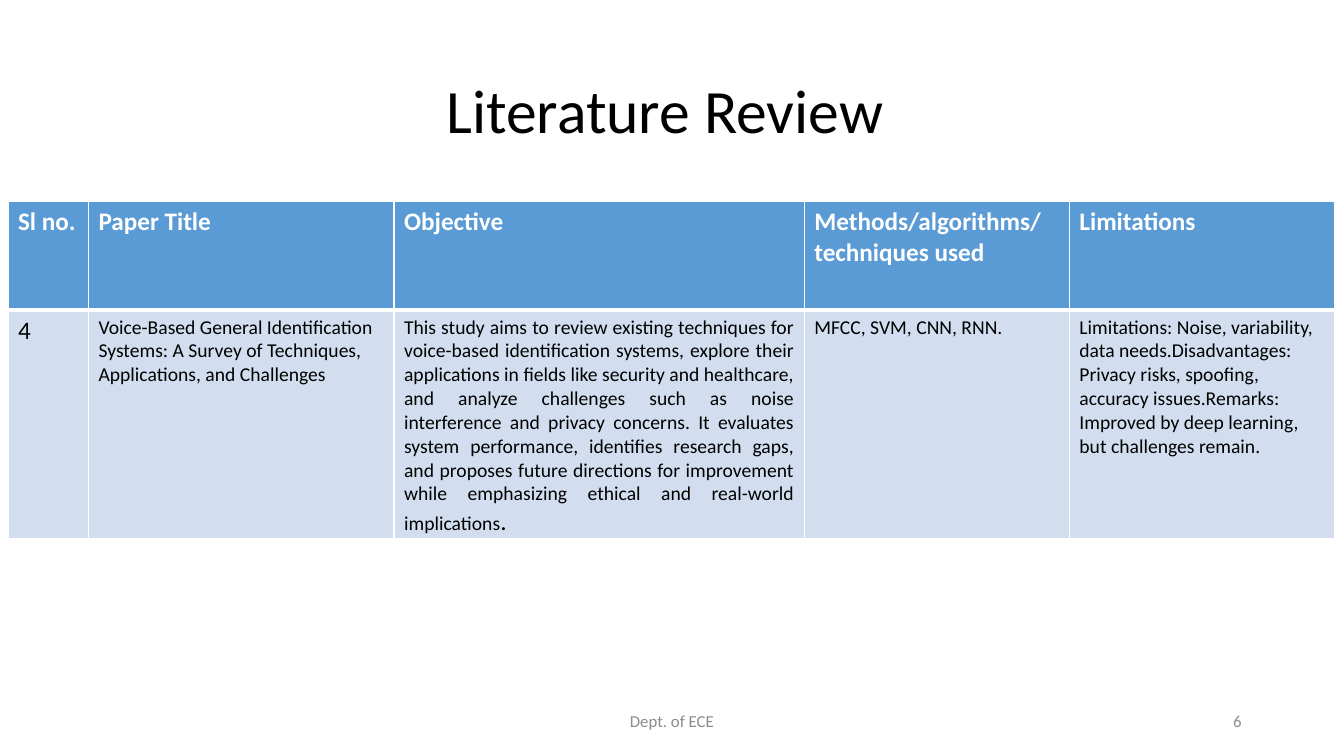
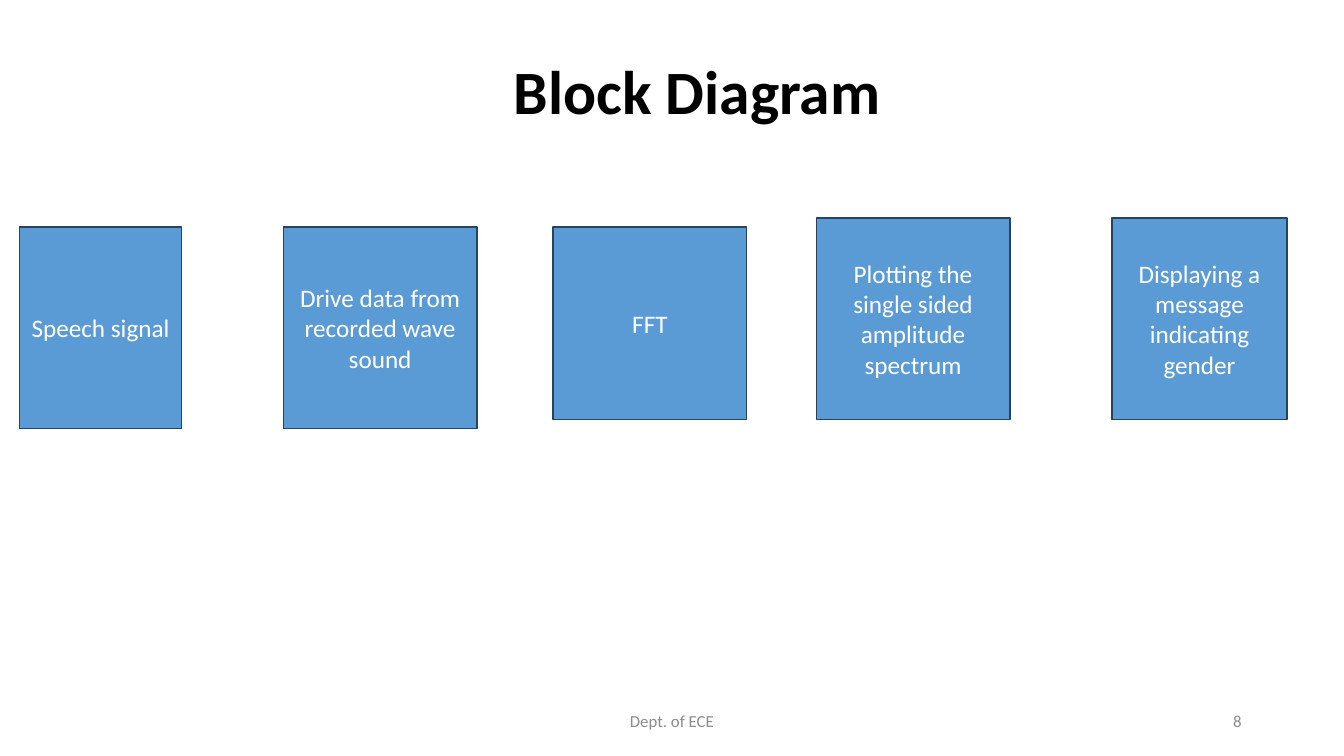
from dataclasses import dataclass

from lxml.etree import SubElement
from pptx import Presentation
from pptx.dml.color import RGBColor
from pptx.enum.shapes import MSO_SHAPE
from pptx.enum.text import MSO_ANCHOR, MSO_AUTO_SIZE, PP_ALIGN
from pptx.oxml.ns import qn
from pptx.util import Cm, Pt


@dataclass(frozen=True)
class Theme:
    font: str = "Calibri"
    black: str = "000000"
    white: str = "FFFFFF"
    gray: str = "8C8C8C"
    blue: str = "5B9BD5"
    pale: str = "D2DEEF"
    edge: str = "28445D"
    title: int = 44
    body: int = 18
    small: int = 14
    foot: int = 12


T = Theme()
TITLE_ONLY = 5
COLS = (2.03, 7.7, 10.34, 6.68, 6.68)
ROWS = (2.74, 5.49)
HEADS = ("Sl no.", "Paper Title", "Objective",
         "Methods/algorithms/techniques used", "Limitations")
PAPER = (
    "4",
    "Voice-Based General Identification Systems: A Survey of Techniques, "
    "Applications, and Challenges",
    "This study aims to review existing techniques for voice-based "
    "identification systems, explore their applications in fields like "
    "security and healthcare, and analyze challenges such as noise "
    "interference and privacy concerns. It evaluates system performance, "
    "identifies research gaps, and proposes future directions for "
    "improvement while emphasizing ethical and real-world implications",
    "MFCC, SVM, CNN, RNN.",
    "Limitations: Noise, variability, data needs.Disadvantages: Privacy "
    "risks, spoofing, accuracy issues.Remarks: Improved by deep learning, "
    "but challenges remain.",
)
# left, top, width, height in cm
BLOCKS = (
    ("Speech signal", 0.5, 5.72, 4.07, 5.08),
    ("Drive data from recorded wave sound", 7.14, 5.72, 4.88, 5.08),
    ("FFT", 13.94, 5.72, 4.88, 4.85),
    ("Plotting the single sided amplitude spectrum", 20.57, 5.49, 4.88, 5.08),
    ("Displaying a message indicating gender", 28.02, 5.49, 4.42, 5.08),
)


def color(code):
    return RGBColor.from_string(code)


def box(left, top, width, height):
    return Cm(left), Cm(top), Cm(width), Cm(height)


def write(frame, text, size=T.body, ink=T.black, bold=False,
          align=PP_ALIGN.LEFT, anchor=None, space=None):
    """Add a run to the frame's first paragraph and format both."""
    frame.word_wrap = True
    if anchor is not None:
        frame.vertical_anchor = anchor
    para = frame.paragraphs[0]
    para.alignment = align
    para.line_spacing = space
    run = para.add_run()
    run.text = text
    font = run.font
    font.name, font.size, font.bold = T.font, Pt(size), bold
    font.color.rgb = color(ink)


def add_slide(deck, title, left, top, number, bold=False):
    slide = deck.slides.add_slide(deck.slide_layouts[TITLE_ONLY])
    head = slide.shapes.title
    head.left, head.top, head.width, head.height = box(left, top, 29.21, 3.68)
    head.text_frame.auto_size = MSO_AUTO_SIZE.NONE
    write(head.text_frame, title, size=T.title, bold=bold, space=0.9,
          align=PP_ALIGN.CENTER, anchor=MSO_ANCHOR.MIDDLE)
    add_note(slide, "Dept. of ECE", 11.22, 11.43, PP_ALIGN.CENTER)
    add_note(slide, number, 23.92, 7.62, PP_ALIGN.RIGHT)
    return slide


def add_note(slide, text, left, width, align):
    """Add one part of the footer."""
    note = slide.shapes.add_textbox(*box(left, 17.65, width, 1.02))
    write(note.text_frame, text, size=T.foot, ink=T.gray, align=align,
          anchor=MSO_ANCHOR.MIDDLE)


def set_edges(cell, top, bottom):
    props = cell._tc.get_or_add_tcPr()
    for side, width in (("L", 1), ("R", 1), ("T", top), ("B", bottom)):
        line = SubElement(props, qn(f"a:ln{side}"), w=str(Pt(width)))
        fill = SubElement(line, qn("a:solidFill"))
        SubElement(fill, qn("a:srgbClr"), val=T.white)


def fill_cell(cell, text, fill, top=1, bottom=1, **style):
    set_edges(cell, top, bottom)
    cell.fill.solid()
    cell.fill.fore_color.rgb = color(fill)
    write(cell.text_frame, text, **style)


def add_review(slide):
    area = box(0.2, 5.08, sum(COLS), sum(ROWS))
    table = slide.shapes.add_table(len(ROWS), len(COLS), *area).table
    for row, height in zip(table.rows, ROWS):
        row.height = Cm(height)
    for i, (width, head, text) in enumerate(zip(COLS, HEADS, PAPER)):
        table.columns[i].width = Cm(width)
        fill_cell(table.cell(0, i), head, T.blue, bottom=3,
                  ink=T.white, bold=True)
        fill_cell(table.cell(1, i), text, T.pale, top=3,
                  size=T.small if i else T.body,
                  align=PP_ALIGN.JUSTIFY if i == 2 else PP_ALIGN.LEFT)
    write(table.cell(1, 2).text_frame, ".", align=PP_ALIGN.JUSTIFY)


def add_block(slide, text, *area):
    block = slide.shapes.add_shape(MSO_SHAPE.RECTANGLE, *box(*area))
    block.shadow.inherit = False
    block.fill.solid()
    block.fill.fore_color.rgb = color(T.blue)
    block.line.color.rgb = color(T.edge)
    block.line.width = Pt(1)
    write(block.text_frame, text, ink=T.white, align=PP_ALIGN.CENTER,
          anchor=MSO_ANCHOR.MIDDLE)


def main():
    deck = Presentation()
    deck.slide_width, deck.slide_height = Cm(33.87), Cm(19.05)
    add_review(add_slide(deck, "Literature Review ", 2.33, 1.01, "6"))
    slide = add_slide(deck, "Block Diagram", 2.97, 0.53, "8", bold=True)
    for block in BLOCKS:
        add_block(slide, *block)
    deck.save("out.pptx")


if __name__ == "__main__":
    main()
